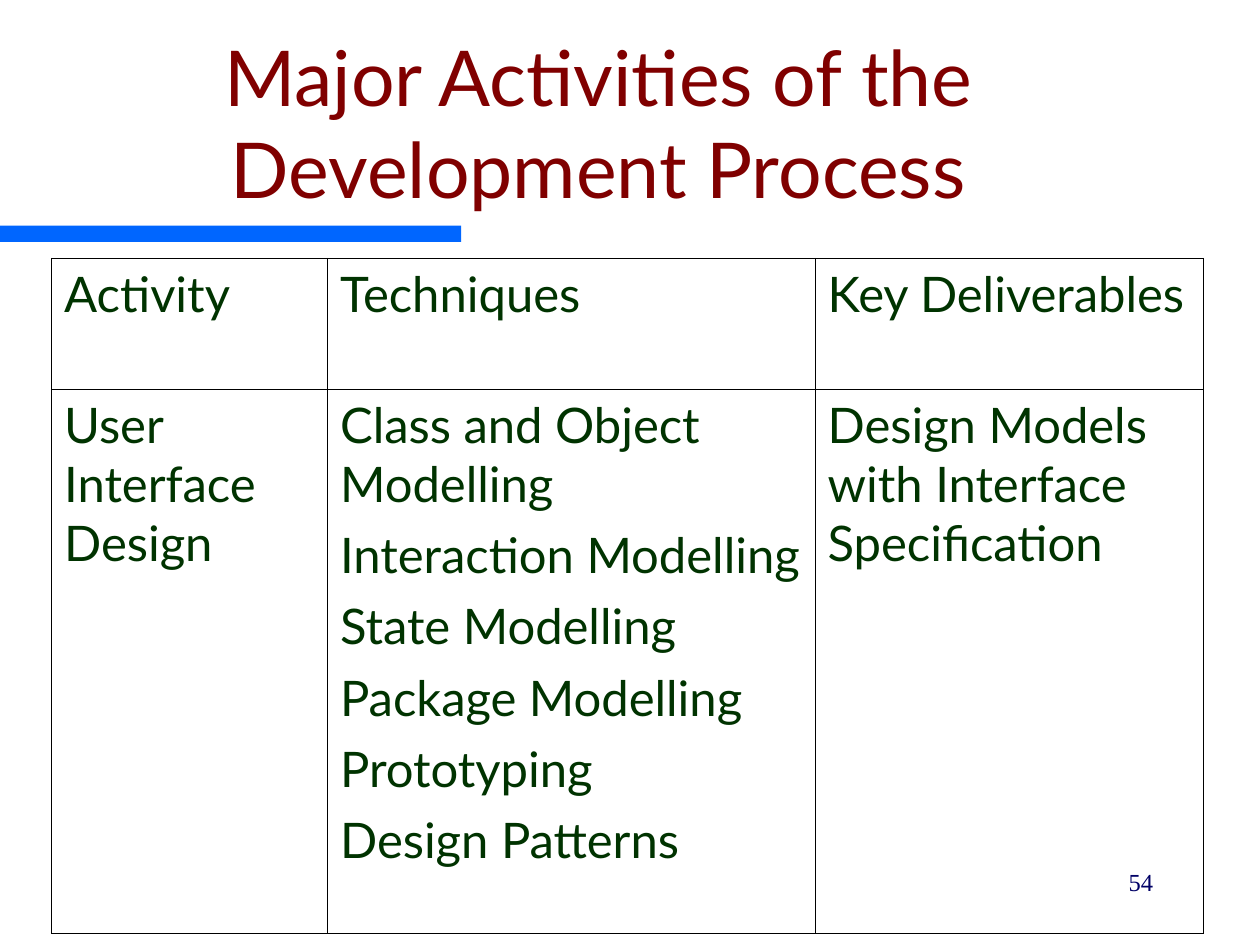
from dataclasses import dataclass

from lxml import etree
from pptx import Presentation
from pptx.dml.color import RGBColor
from pptx.enum.shapes import MSO_SHAPE
from pptx.enum.text import MSO_ANCHOR, PP_ALIGN
from pptx.oxml.ns import qn
from pptx.util import Inches, Pt

RECTANGLE = MSO_SHAPE.RECTANGLE
LEFT, CENTER, RIGHT = PP_ALIGN.LEFT, PP_ALIGN.CENTER, PP_ALIGN.RIGHT
TOP, BOTTOM = MSO_ANCHOR.TOP, MSO_ANCHOR.BOTTOM
FONT = "Lato"
OUTER, INNER = 0.75, 0.45
COLUMN_WIDTHS = [2.19, 3.87, 3.08]


@dataclass
class Row:
    """A table row: its height and the paragraphs of each cell."""
    height: float
    cells: list[list[str]]


ROWS = [
    Row(1.04, [["Activity"], ["Techniques"], ["Key Deliverables"]]),
    Row(4.32, [
        ["User Interface Design"],
        ["Class and Object Modelling", "Interaction Modelling", "State Modelling",
         "Package Modelling", "Prototyping", "Design Patterns"],
        ["Design Models with Interface Specification"],
    ]),
]


def rgb(value: str) -> RGBColor:
    """Turn a hex string into a colour."""
    return RGBColor.from_string(value)


def write(tf, paragraphs: list[str], *, size: float, color: str, font: str = FONT,
          align=LEFT, before: float = 0) -> None:
    """Fill a text frame with formatted paragraphs."""
    for i, text in enumerate(paragraphs):
        p = tf.add_paragraph() if i else tf.paragraphs[0]
        p.alignment = align
        p.space_before = Pt(before)
        r = p.add_run()
        r.text = text
        r.font.name = font
        r.font.size = Pt(size)
        r.font.color.rgb = rgb(color)


def add_text(s, box: tuple, text: str, *, anchor=TOP, **style) -> None:
    """Add a wrapping text box."""
    tf = s.shapes.add_textbox(*map(Inches, box)).text_frame
    tf.word_wrap = True
    tf.vertical_anchor = anchor
    write(tf, [text], **style)


def add_border(cell, side: str, width: float) -> None:
    """Draw one black border of a cell."""
    tc_pr = cell._tc.get_or_add_tcPr()
    ln = etree.SubElement(tc_pr, qn(f"a:ln{side}"), w=str(int(Pt(width))))
    fill = etree.SubElement(ln, qn("a:solidFill"))
    etree.SubElement(fill, qn("a:srgbClr"), val="000000")


def add_activity_table(s, left: float, top: float) -> None:
    """Add the table of activities, techniques and deliverables."""
    width, height = sum(COLUMN_WIDTHS), sum(row.height for row in ROWS)
    last_row, last_col = len(ROWS) - 1, len(COLUMN_WIDTHS) - 1
    table = s.shapes.add_table(len(ROWS), len(COLUMN_WIDTHS), Inches(left), Inches(top),
                               Inches(width), Inches(height)).table
    table.first_row = table.horz_banding = False
    for column, column_width in zip(table.columns, COLUMN_WIDTHS):
        column.width = Inches(column_width)
    for i, row in enumerate(ROWS):
        table.rows[i].height = Inches(row.height)
        for j, paragraphs in enumerate(row.cells):
            cell = table.cell(i, j)
            edges = {"L": j == 0, "R": j == last_col, "T": i == 0, "B": i == last_row}
            for side, is_outer in edges.items():
                add_border(cell, side, OUTER if is_outer else INNER)
            cell.fill.background()
            write(cell.text_frame, paragraphs, size=28, color="003300", before=7)


def main() -> None:
    """Build and save the slide."""
    prs = Presentation()
    prs.slide_width, prs.slide_height = Inches(10), Inches(7.5)
    s = prs.slides.add_slide(prs.slide_layouts[6])
    bar = s.shapes.add_shape(RECTANGLE, *map(Inches, (0, 1.79, 3.66, 0.13)))
    bar.shadow.inherit = False
    bar.fill.solid()
    bar.fill.fore_color.rgb = rgb("0066FF")
    bar.line.fill.background()
    add_text(s, (0.25, 0.5, 9, 1.25), "Major Activities of the Development Process",
             anchor=BOTTOM, size=44, color="800000", align=CENTER)
    add_activity_table(s, 0.41, 2.05)
    add_text(s, (7.17, 6.83, 2.08, 0.5), "54", size=14, color="000066",
             font="Times New Roman", align=RIGHT, before=8.8)
    prs.save("out.pptx")


if __name__ == "__main__":
    main()
